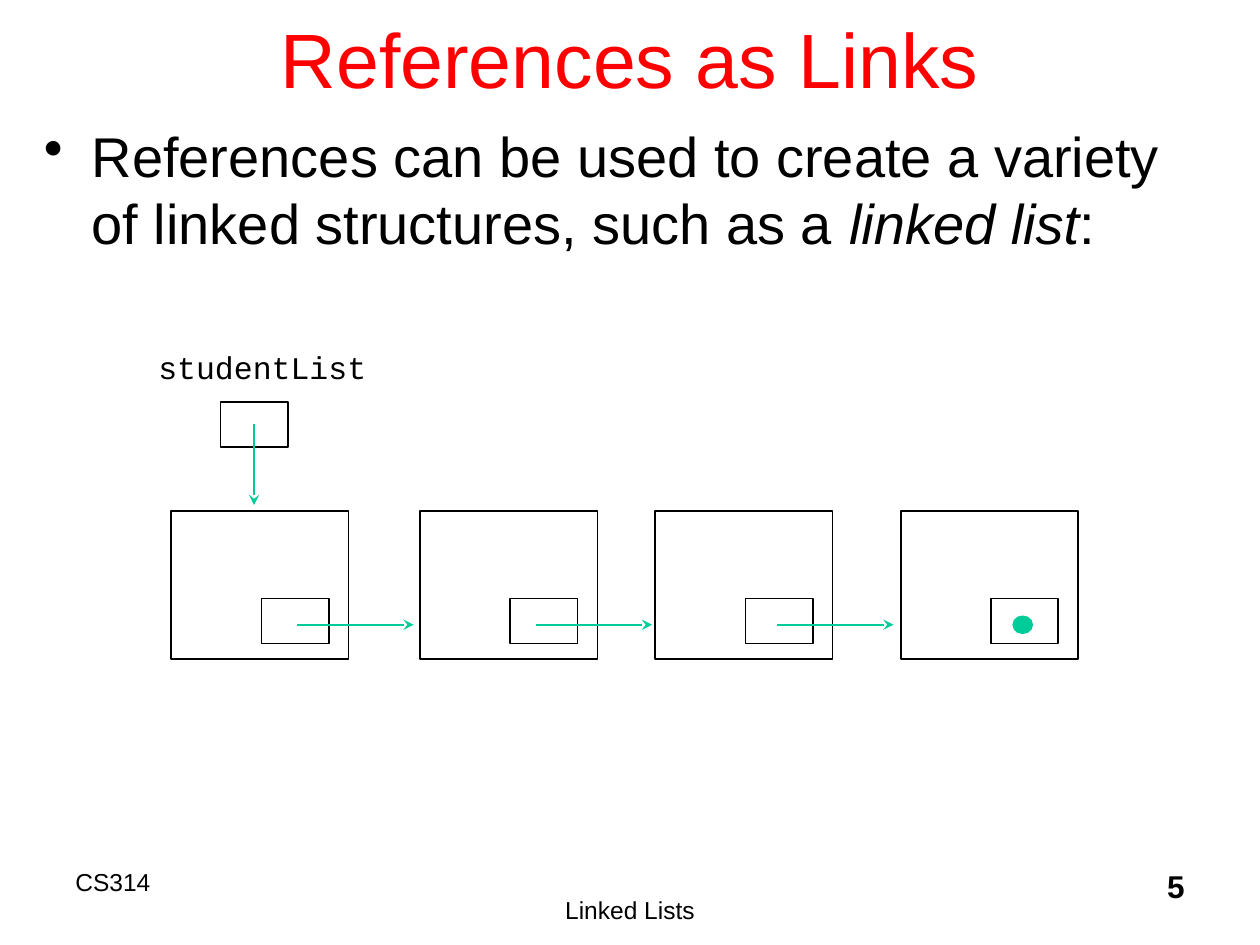
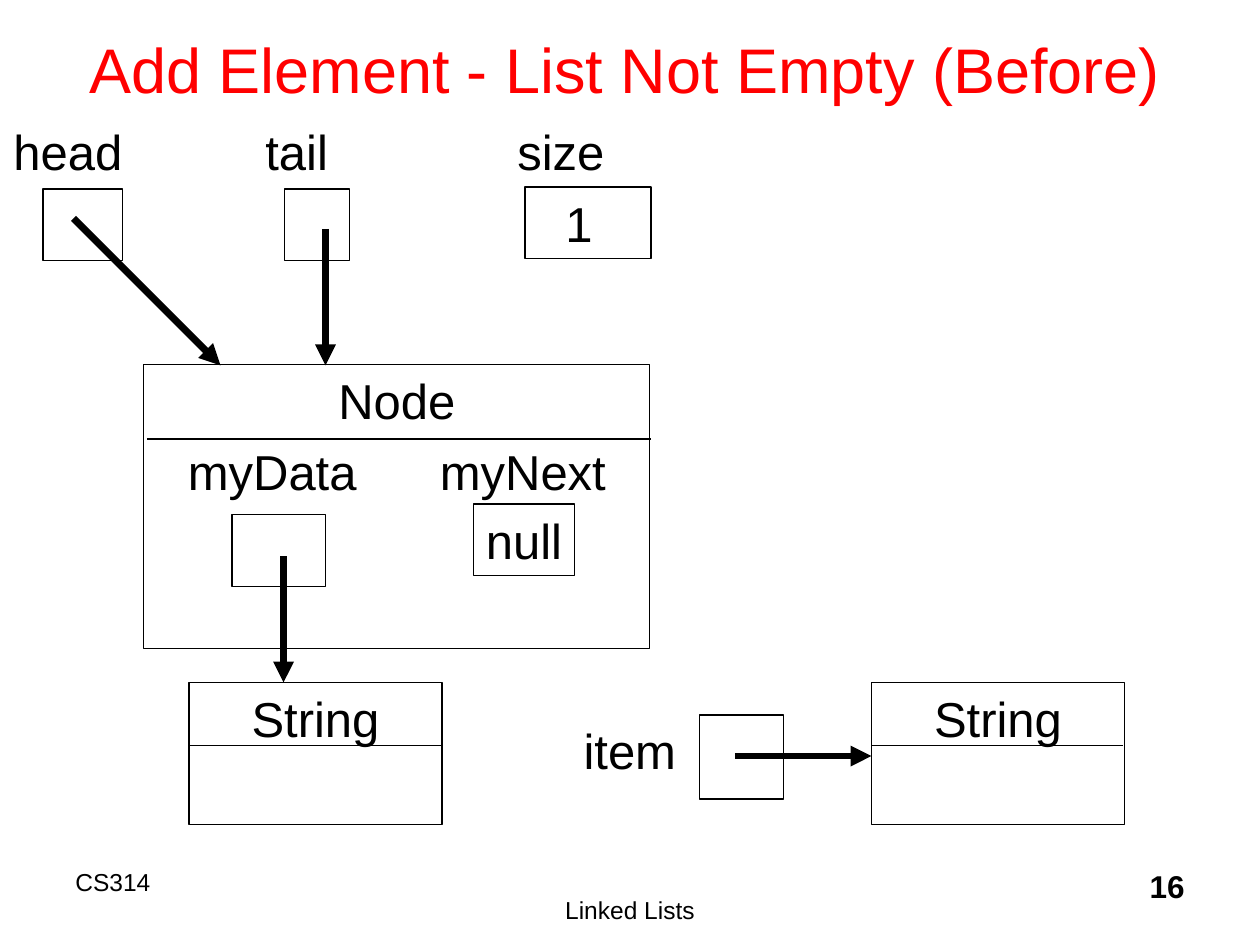
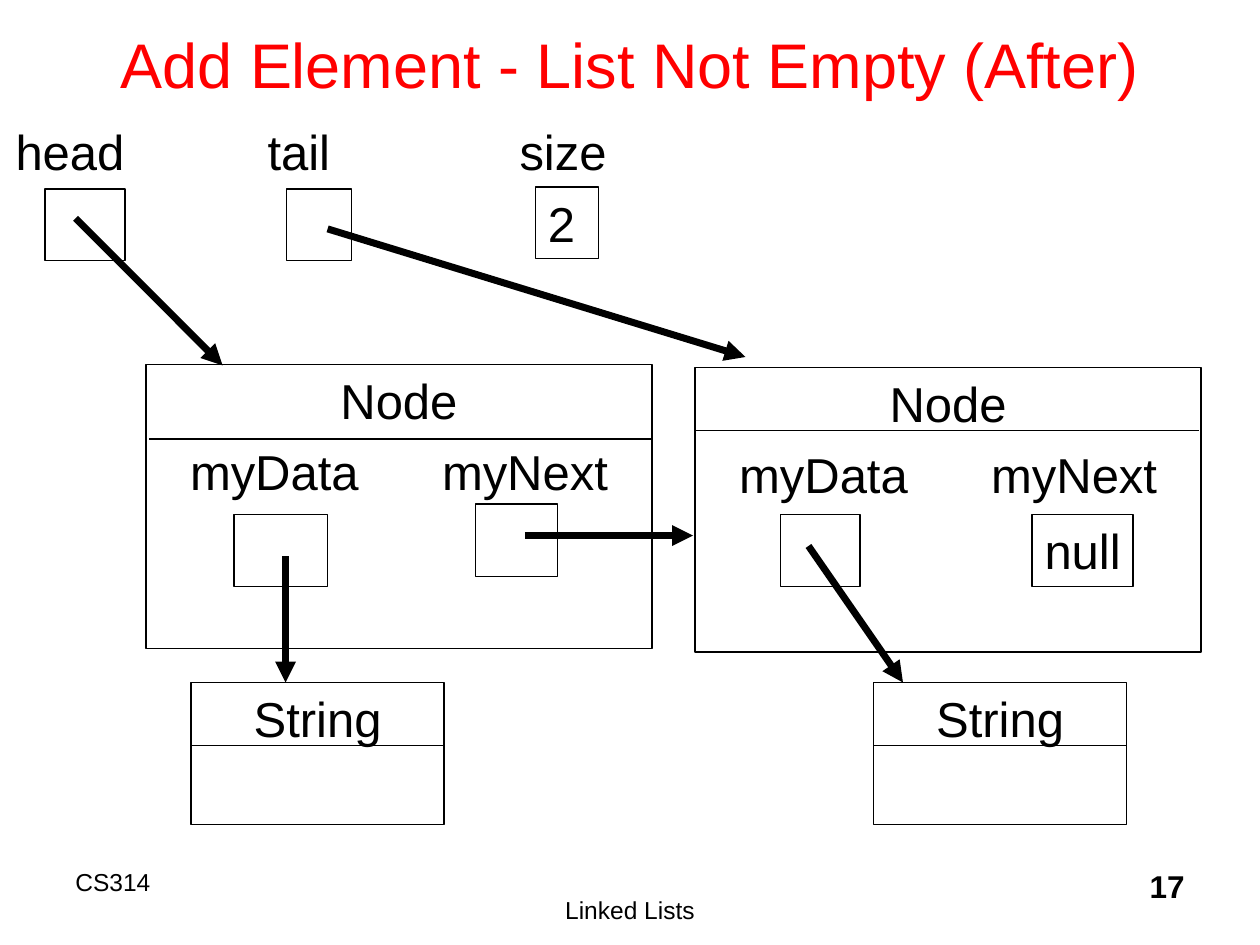
"""Builds three linked-list lecture slides on a grid of 120 columns by 90 rows."""
from lxml.etree import SubElement
from pptx import Presentation
from pptx.dml.color import RGBColor
from pptx.enum.shapes import MSO_CONNECTOR, MSO_SHAPE
from pptx.enum.text import MSO_ANCHOR, PP_ALIGN
from pptx.oxml.ns import qn
from pptx.util import Inches, Pt

BLACK = RGBColor(0x00, 0x00, 0x00)
RED = RGBColor(0xFF, 0x00, 0x00)
GREEN = RGBColor(0x00, 0xCC, 0x99)
LEFT, CENTER, RIGHT = PP_ALIGN.LEFT, PP_ALIGN.CENTER, PP_ALIGN.RIGHT

deck = Presentation()
deck.slide_width, deck.slide_height = Inches(10), Inches(7.5)
UNIT = deck.slide_width / 120
CELL_H = 6.84


def block(slide, area, text="", size=28, align=LEFT, color=BLACK, font="Arial", border=0, before=0):
    """Place text, or a bordered rectangle when border is a width in points."""
    place = [round(part * UNIT) for part in area]
    if border:
        item = slide.shapes.add_shape(MSO_SHAPE.RECTANGLE, *place)
        item.shadow.inherit = False
        item.fill.background()
        item.line.color.rgb = BLACK
        item.line.width = Pt(border)
    else:
        item = slide.shapes.add_textbox(*place)
    frame = item.text_frame
    frame.word_wrap = True
    frame.vertical_anchor = MSO_ANCHOR.TOP
    if text:
        frame.text = text
        for paragraph in frame.paragraphs:
            if "\t" in text:
                stops = SubElement(paragraph._p.get_or_add_pPr(), qn("a:tabLst"))
                for inch in range(1, 8):
                    SubElement(stops, qn("a:tab"), pos=str(Inches(inch)), algn="l")
            paragraph.alignment = align
            paragraph.space_before = Pt(before)
            paragraph.font.size = Pt(size)
            paragraph.font.name = font
            paragraph.font.color.rgb = color
    return frame


def line(slide, start, end, color=BLACK, width=0.75, head=None):
    """Draw a straight line between two grid points, with an optional arrowhead."""
    ends = [round(part * UNIT) for part in (*start, *end)]
    link = slide.shapes.add_connector(MSO_CONNECTOR.STRAIGHT, *ends)
    link.line.color.rgb = color
    link.line.width = Pt(width)
    if head:
        SubElement(link.line._get_or_add_ln(), qn("a:tailEnd"), type=head)
    SubElement(link._element.spPr, qn("a:effectLst"))


slides = []
for number, title, title_size, title_area in (
    ("5", "References as Links", 44, (9, 0, 102, 11)),
    ("16", "Add Element - List Not Empty (Before)", 36, (4, 0, 111, 13)),
    ("17", "Add Element - List Not Empty (After)", 36, (9, 0, 102, 12)),
):
    slide = deck.slides.add_slide(deck.slide_layouts[6])
    heading = block(slide, title_area, title, title_size, CENTER, RED)
    heading.vertical_anchor = MSO_ANCHOR.MIDDLE
    block(slide, (6, 82, 30, 6), "CS314", 14)
    block(slide, (37, 84.65, 46, 3.6), "Linked Lists", 14, CENTER)
    page = block(slide, (89, 82, 25, 6), number, 18, RIGHT)
    page.paragraphs[0].font.bold = True
    slides.append(slide)
links, before_add, after_add = slides

intro = block(links, (3, 11, 114, 22), "References can be used to create a variety of linked structures, such as a ",
              32, before=8).paragraphs[0]
indent = intro._p.get_or_add_pPr()
indent.set("marL", str(Inches(0.38)))
indent.set("indent", str(-Inches(0.38)))
bullet = SubElement(indent, qn("a:buChar"), char="•")
indent.find(qn("a:defRPr")).addprevious(bullet)
term = intro.add_run()
term.text = "linked list"
term.font.italic = True
intro.add_run().text = ":"

block(links, (13.9, 32.6, 24, 4.8), "studentList", 18, font="Courier New")
block(links, (21, 38.3, 6.4, 4.3), border=1)
for node_x in (16.3, 40, 62.4, 85.8):
    block(links, (node_x, 48.7, 16.9, 14.1), border=1)
    block(links, (node_x + 8.6, 57, 6.4, 4.3), border=1)
for arrow_x in (28.3, 51, 74):
    line(links, (arrow_x, 59.5), (arrow_x + 11.1, 59.5), GREEN, 1, "stealth")
line(links, (24.2, 40.4), (24.2, 48.1), GREEN, 1, "stealth")
end_dot = links.shapes.add_shape(MSO_SHAPE.OVAL, *[round(part * UNIT) for part in (96.5, 58.7, 1.8, 1.6)])
end_dot.shadow.inherit = False
end_dot.fill.solid()
end_dot.fill.fore_color.rgb = end_dot.line.color.rgb = GREEN
end_dot.line.width = Pt(1)

for slide, shift in ((before_add, 0), (after_add, 0.2)):
    block(slide, (shift + 0.1, 11, 60, CELL_H), "head\t\ttail\t\tsize", before=7)
    for cell_x, cell_y, cell_w in ((4.1, 18, 7.6), (27.1, 18, 6.2), (22.1, 49, 8.9)):
        block(slide, (shift + cell_x, cell_y, cell_w, CELL_H), border=0.75)
    for string_x in (shift + 18, shift + 83):
        block(slide, (string_x, 65, 24.1, 13.5), "String", align=CENTER, border=0.75, before=7)
        line(slide, (string_x, 71), (string_x + 24, 71))
    for start, end in (((7, 20.8), (21, 34.8)), ((27, 53), (27, 65))):
        line(slide, (shift + start[0], start[1]), (shift + end[0], end[1]), width=4, head="triangle")

for slide, node_x, node_y, rule_x, rule_y in (
    (before_add, 13.7, 34.7, 14, 41.8),
    (after_add, 13.9, 34.7, 14.2, 41.8),
    (after_add, 66.2, 35, 66.2, 41),
):
    block(slide, (node_x, node_y, 48.2, 27.1), "Node\nmyData\tmyNext", align=CENTER, border=0.75, before=7)
    line(slide, (rule_x, rule_y), (rule_x + 48, rule_y))

for slide, null_x, null_y in ((before_add, 45.1, 48), (after_add, 98.3, 49)):
    null = block(slide, (null_x, null_y, 9.6, CELL_H), "null", border=0.75, before=7)
    null.word_wrap = False

count = block(before_add, (50, 17.8, 12, CELL_H), "1", border=0.75, before=7)
count.margin_left = Inches(0.32)
block(before_add, (54.4, 68, 12, CELL_H), "item", before=7)
block(before_add, (66.6, 68.1, 8, 8), border=0.75)

block(after_add, (51, 17.8, 6, CELL_H), "2", border=0.75, before=7)
block(after_add, (45.3, 48, 7.8, 6.9), border=0.75)
block(after_add, (74.3, 49, 7.6, CELL_H), border=0.75)

for slide, start, end in (
    (before_add, (31, 21.8), (31, 34.8)),
    (before_add, (70, 72), (83, 72)),
    (after_add, (31.2, 21.8), (71, 34)),
    (after_add, (50, 51), (66, 51)),
    (after_add, (77, 52), (86, 65)),
):
    line(slide, start, end, width=4, head="triangle")

deck.save("out.pptx")
